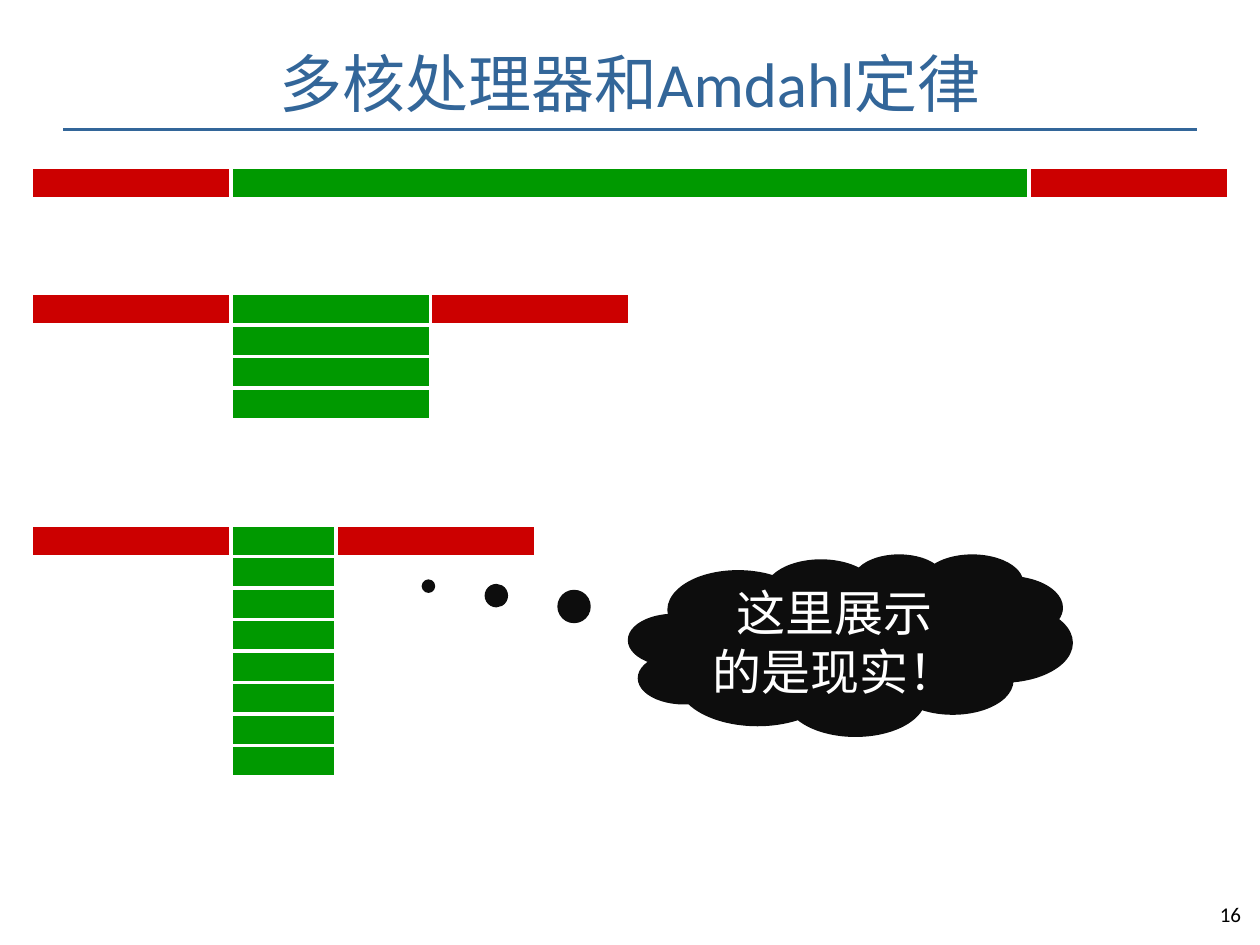
import lxml.etree
import pptx
import pptx.dml.color
import pptx.enum.shapes
import pptx.enum.text
import pptx.oxml.ns
import pptx.util

Cm = pptx.util.Cm
Pt = pptx.util.Pt
SHAPES = pptx.enum.shapes.MSO_SHAPE
ANCHOR = pptx.enum.text.MSO_ANCHOR
COLOURS = {
    "title": "336699",
    "serial": "CC0000",
    "parallel": "009900",
    "cloud": "0D0D0D",
    "light": "FFFFFF",
    "dark": "000000",
}
LATIN_FONT = "Calibri"
CHINESE_FONT = "Noto Sans CJK SC"
BAR_LEFT = 0.64
BAR_HEIGHT = 0.635
SERIAL_WIDTH = 4.02


def colour(name):
    """Return the named colour."""
    return pptx.dml.color.RGBColor.from_string(COLOURS[name])


def write_text(box, text, size, ink, font=LATIN_FONT, spacing=None,
               anchor=ANCHOR.MIDDLE):
    """Write centred paragraphs, one for each line of text."""
    frame = box.text_frame
    frame.word_wrap = True
    frame.vertical_anchor = anchor
    frame.text = text
    for para in frame.paragraphs:
        para.alignment = pptx.enum.text.PP_ALIGN.CENTER
        if spacing:
            para.line_spacing = Pt(spacing)
        for span in para.runs:
            span.font.size = Pt(size)
            span.font.name = font
            span.font.color.rgb = colour(ink)
            properties = span.font._element
            lxml.etree.SubElement(properties, pptx.oxml.ns.qn("a:ea"),
                                  typeface=CHINESE_FONT)


def add_filled(page, kind, left, top, width, height, fill, line):
    """Add a flat preset shape with a 2 pt outline."""
    shape = page.shapes.add_shape(kind, Cm(left), Cm(top), Cm(width), Cm(height))
    shape.shadow.inherit = False
    shape.fill.solid()
    shape.fill.fore_color.rgb = colour(fill)
    shape.line.color.rgb = colour(line)
    shape.line.width = Pt(2)
    return shape


def add_heading(page, left, top, width, height):
    """Place the title and the rule beneath it."""
    title = page.shapes.title
    title.left, title.top = Cm(left), Cm(top)
    title.width, title.height = Cm(width), Cm(height)
    write_text(title, "多核处理器和Amdahl定律", size=36, ink="title")
    rule_top = Cm(top + 2.05)
    rule = page.shapes.add_connector(
        pptx.enum.shapes.MSO_CONNECTOR.STRAIGHT,
        Cm(left), rule_top, Cm(left + width), rule_top)
    rule.line.color.rgb = colour("title")
    rule.line.width = Pt(2)
    lxml.etree.SubElement(rule._element.spPr, pptx.oxml.ns.qn("a:effectLst"))


def add_timeline(page, left, top, cores, parallel_width):
    """Draw serial work, one parallel bar per core, and serial work again."""
    middle = left + SERIAL_WIDTH
    bars = [(left, top, SERIAL_WIDTH, "serial")]
    bars += [(middle, top + core * BAR_HEIGHT, parallel_width, "parallel")
             for core in range(cores)]
    bars.append((middle + parallel_width, top, SERIAL_WIDTH, "serial"))
    for bar_left, bar_top, width, fill in bars:
        add_filled(page, SHAPES.RECTANGLE, bar_left, bar_top, width, BAR_HEIGHT,
                   fill, "light")


def add_thought(page, left, top, width, height):
    """Add the thought cloud pointing at the eight-core timeline."""
    cloud = add_filled(page, SHAPES.CLOUD_CALLOUT, left, top, width, height,
                       "cloud", "cloud")
    cloud.adjustments[0] = -0.957
    cloud.adjustments[1] = -0.329
    write_text(cloud, "这里展示\n的是现实！", size=28, ink="light",
               font=CHINESE_FONT, spacing=34)


def add_page_number(page, left, top, width, height):
    """Place the page number in the corner."""
    box = page.shapes.add_textbox(Cm(left), Cm(top), Cm(width), Cm(height))
    frame = box.text_frame
    frame.margin_left = frame.margin_right = Cm(0.28)
    frame.margin_top = frame.margin_bottom = Cm(0.15)
    write_text(box, "16", size=12, ink="dark", anchor=ANCHOR.TOP)


def build():
    """Build and save the deck."""
    deck = pptx.Presentation()
    deck.slide_width, deck.slide_height = Cm(25.4), Cm(19.05)
    page = deck.slides.add_slide(deck.slide_layouts[5])
    add_heading(page, 1.27, 0.56, 22.86, 2.21)
    for top, cores, parallel_width in (
            (3.38, 1, 16.09), (5.92, 4, 4.02), (10.58, 8, 2.12)):
        add_timeline(page, BAR_LEFT, top, cores, parallel_width)
    add_thought(page, 12.7, 11.2, 8.89, 3.61)
    add_page_number(page, 24.21, 18.03, 1.19, 0.58)
    deck.save("out.pptx")


build()
